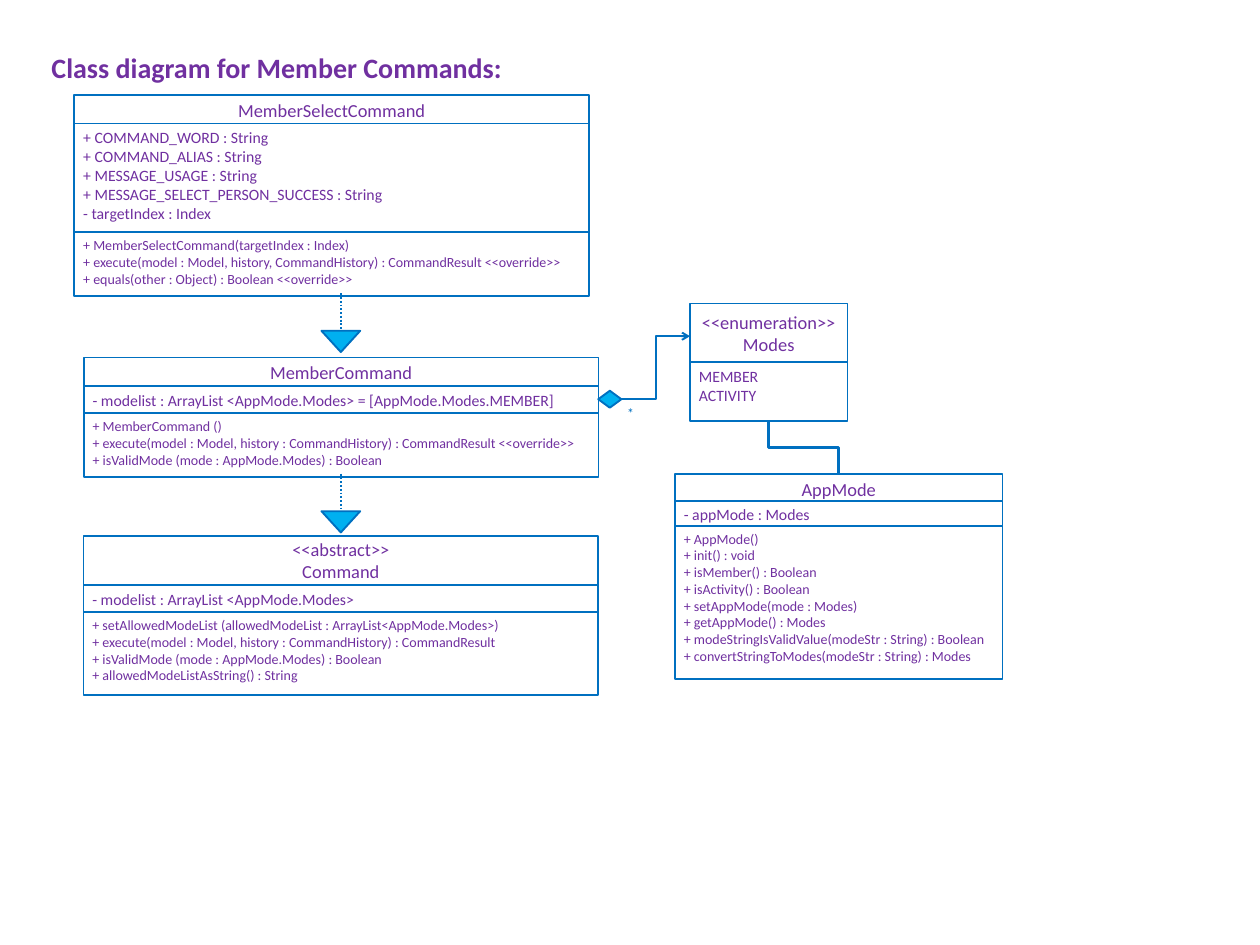
from dataclasses import dataclass

from lxml import etree
from pptx import Presentation
from pptx.dml.color import RGBColor
from pptx.enum.dml import MSO_LINE
from pptx.enum.shapes import MSO_CONNECTOR, MSO_SHAPE
from pptx.enum.text import MSO_ANCHOR, MSO_AUTO_SIZE, PP_ALIGN
from pptx.oxml.ns import qn
from pptx.util import Pt

STRAIGHT, ELBOW = MSO_CONNECTOR.STRAIGHT, MSO_CONNECTOR.ELBOW
RECTANGLE = MSO_SHAPE.RECTANGLE
TRIANGLE = MSO_SHAPE.ISOSCELES_TRIANGLE
DIAMOND = MSO_SHAPE.FLOWCHART_DECISION
LEFT, CENTER = PP_ALIGN.LEFT, PP_ALIGN.CENTER
TOP, MIDDLE = MSO_ANCHOR.TOP, MSO_ANCHOR.MIDDLE
NO_AUTOFIT = MSO_AUTO_SIZE.NONE
DOTTED = MSO_LINE.ROUND_DOT
TITLE_ONLY_LAYOUT = 5


@dataclass(frozen=True)
class Theme:
    """Colours, font and sizes used across the slide."""

    font: str = "Calibri"
    text: RGBColor = RGBColor(0x70, 0x30, 0xA0)
    line: RGBColor = RGBColor(0x00, 0x70, 0xC0)
    marker: RGBColor = RGBColor(0x00, 0xB0, 0xF0)
    paper: RGBColor = RGBColor(0xFF, 0xFF, 0xFF)
    title_size: float = 22.4
    name_size: float = 14.7
    field_size: float = 12.6
    method_size: float = 11.2
    label_size: float = 11
    line_width: float = 1.5
    thick_width: float = 2.25


THEME = Theme()

CLASSES = [
    (59.5, 411.8, [
        (76.3, 23, THEME.name_size, ["MemberSelectCommand"]),
        (98.8, 86.6, THEME.field_size, [
            "+ COMMAND_WORD : String",
            "+ COMMAND_ALIAS : String",
            "+ MESSAGE_USAGE : String",
            "+ MESSAGE_SELECT_PERSON_SUCCESS : String",
            "- targetIndex : Index",
        ]),
        (185.6, 51, THEME.method_size, [
            "+ MemberSelectCommand(targetIndex : Index)",
            "+ execute(model : Model, history, CommandHistory) : CommandResult <<override>>",
            "+ equals(other : Object) : Boolean <<override>>",
        ]),
    ]),
    (67, 411.8, [
        (286, 23, THEME.name_size, ["MemberCommand"]),
        (308.9, 23, THEME.field_size, [
            "- modelist : ArrayList <AppMode.Modes> = [AppMode.Modes.MEMBER]",
        ]),
        (330.5, 51, THEME.method_size, [
            "+ MemberCommand ()",
            "+ execute(model : Model, history : CommandHistory) : CommandResult <<override>>",
            "+ isValidMode (mode : AppMode.Modes) : Boolean",
        ]),
    ]),
    (540, 262, [
        (379.5, 23, THEME.name_size, ["AppMode"]),
        (400.5, 23, THEME.field_size, ["- appMode : Modes"]),
        (420.5, 122.5, THEME.method_size, [
            "+ AppMode()",
            "+ init() : void",
            "+ isMember() : Boolean",
            "+ isActivity() : Boolean",
            "+ setAppMode(mode : Modes)",
            "+ getAppMode() : Modes",
            "+ modeStringIsValidValue(modeStr : String) : Boolean",
            "+ convertStringToModes(modeStr : String) : Modes",
        ]),
    ]),
    (552, 126, [
        (242.8, 47, THEME.name_size, ["<<enumeration>>", "Modes"]),
        (289.8, 47, THEME.field_size, ["MEMBER", "ACTIVITY"]),
    ]),
    (66.8, 411.8, [
        (428.6, 39.5, THEME.name_size, ["<<abstract>>", "Command"]),
        (468, 23, THEME.field_size, ["- modelist : ArrayList <AppMode.Modes>"]),
        (489.6, 66.3, THEME.method_size, [
            "+ setAllowedModeList (allowedModeList : ArrayList<AppMode.Modes>)",
            "+ execute(model : Model, history : CommandHistory) : CommandResult",
            "+ isValidMode (mode : AppMode.Modes) : Boolean",
            "+ allowedModeListAsString() : String",
        ]),
    ]),
]


def write_text(shape, lines, size, color=THEME.text, align=LEFT, anchor=TOP, bold=False):
    """Fill a shape with one formatted paragraph for each line."""
    frame = shape.text_frame
    frame.text = "\n".join(lines)
    frame.word_wrap = True
    frame.vertical_anchor = anchor
    for paragraph in frame.paragraphs:
        paragraph.alignment = align
        for run in paragraph.runs:
            run.font.name = THEME.font
            run.font.size = Pt(size)
            run.font.bold = bold
            run.font.color.rgb = color


def add_title(slide, text):
    """Place the slide heading in the title placeholder."""
    title = slide.shapes.title
    title.left, title.top, title.width, title.height = Pt(34), Pt(36.5), Pt(378), Pt(34.5)
    write_text(title, [text], THEME.title_size, bold=True)
    title.text_frame.word_wrap = False
    title.text_frame.auto_size = NO_AUTOFIT


def add_outlined_shape(slide, kind, left, top, width, height, fill):
    """Add a filled preset shape with the diagram outline."""
    shape = slide.shapes.add_shape(kind, Pt(left), Pt(top), Pt(width), Pt(height))
    shape.shadow.inherit = False
    shape.fill.solid()
    shape.fill.fore_color.rgb = fill
    shape.line.color.rgb = THEME.line
    shape.line.width = Pt(THEME.line_width)
    return shape


def add_class(slide, left, width, compartments):
    """Draw a class as a centred name above its member compartments."""
    for index, (top, height, size, lines) in enumerate(compartments):
        box = add_outlined_shape(slide, RECTANGLE, left, top, width, height, THEME.paper)
        align, anchor = (LEFT, TOP) if index else (CENTER, MIDDLE)
        write_text(box, lines, size, align=align, anchor=anchor)


def add_line(slide, kind, start, end, width=THEME.line_width):
    """Add a connector without a shadow."""
    points = [Pt(value) for value in (*start, *end)]
    connector = slide.shapes.add_connector(kind, *points)
    connector.line.color.rgb = THEME.line
    connector.line.width = Pt(width)
    etree.SubElement(connector.element.spPr, qn("a:effectLst"))
    return connector


def add_vertical_elbow(slide, start, end, width):
    """Add an elbow that leaves and arrives vertically, by a quarter turn."""
    center_x, center_y = (start[0] + end[0]) / 2, (start[1] + end[1]) / 2
    offset_x, offset_y = start[0] - center_x, start[1] - center_y
    turned_start = (center_x - offset_y, center_y + offset_x)
    turned_end = (center_x + offset_y, center_y - offset_x)
    connector = add_line(slide, ELBOW, turned_start, turned_end, width)
    connector.element.spPr.find(qn("a:xfrm")).set("rot", str(270 * 60000))


def add_inheritance(slide, center_x, top):
    """Draw a dotted line ending in a downward triangle."""
    line_end = top + 30
    line = add_line(slide, STRAIGHT, (center_x, top), (center_x, line_end))
    line.line.dash_style = DOTTED
    triangle = add_outlined_shape(
        slide, TRIANGLE, center_x - 15.5, line_end, 31, 17, THEME.marker)
    triangle.element.spPr.find(qn("a:xfrm")).set("flipV", "1")


def add_composition(slide):
    """Link MemberCommand to Modes with a diamond, an arrow and a multiplicity."""
    add_outlined_shape(slide, DIAMOND, 478.6, 312.6, 18.5, 13.6, THEME.marker)
    arrow = add_line(slide, ELBOW, (497, 319.4), (552, 269))
    etree.SubElement(arrow.line._get_or_add_ln(), qn("a:tailEnd"), type="arrow")
    label = slide.shapes.add_textbox(Pt(497), Pt(323.5), Pt(15), Pt(14))
    frame = label.text_frame
    frame.margin_left = frame.margin_top = frame.margin_right = frame.margin_bottom = 0
    write_text(label, ["*"], THEME.label_size, color=THEME.line, align=CENTER)


def main():
    """Build the class diagram and save it."""
    presentation = Presentation()
    presentation.slide_width, presentation.slide_height = Pt(1008), Pt(756)
    slide = presentation.slides.add_slide(presentation.slide_layouts[TITLE_ONLY_LAYOUT])
    add_title(slide, "Class diagram for Member Commands:")
    for left, width, compartments in CLASSES:
        add_class(slide, left, width, compartments)
    for top in (234.7, 379):
        add_inheritance(slide, 272.7, top)
    add_composition(slide)
    add_vertical_elbow(slide, (671, 379.5), (615, 336.8), THEME.thick_width)
    presentation.save("out.pptx")


if __name__ == "__main__":
    main()
